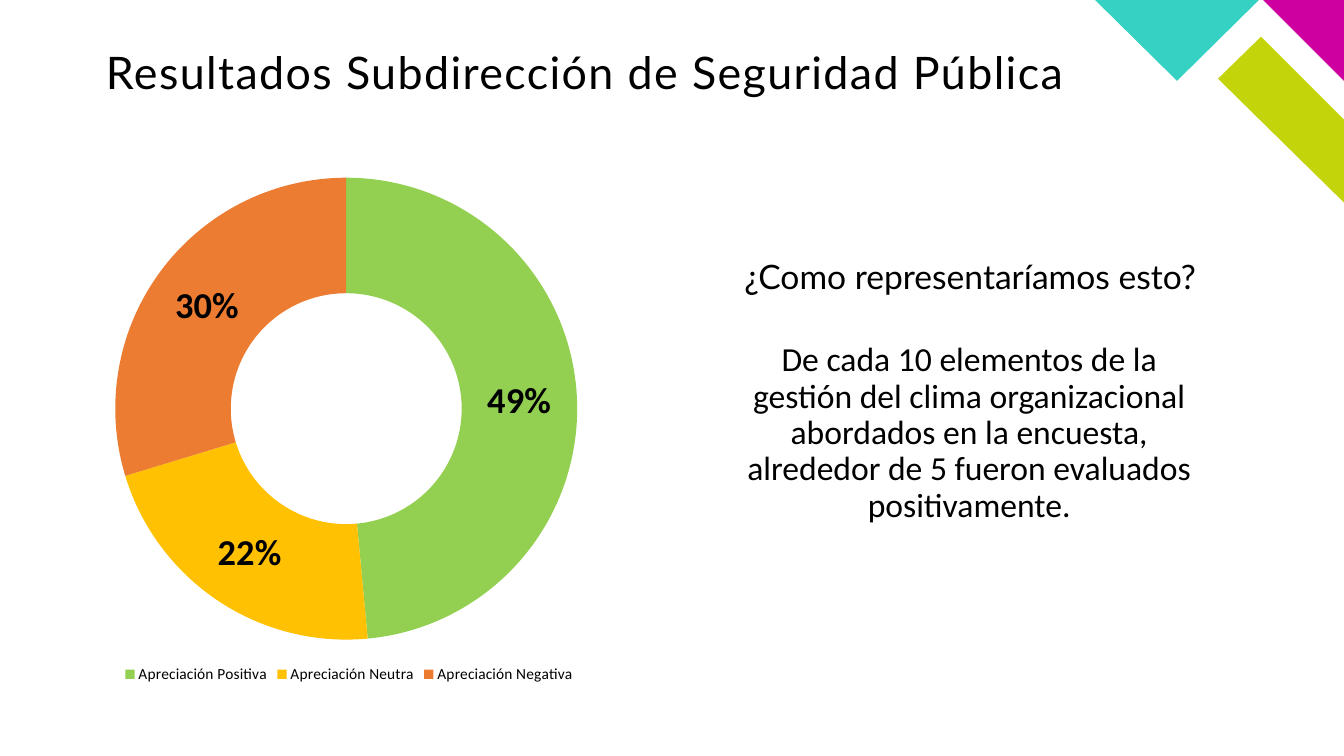
from pptx import Presentation
from pptx.chart.data import CategoryChartData
from pptx.dml.color import RGBColor
from pptx.enum.chart import XL_CHART_TYPE, XL_LEGEND_POSITION
from pptx.enum.text import MSO_ANCHOR, PP_ALIGN
from pptx.util import Pt

PX = 9525  # EMU per px, 96 px to the inch
COLORS = {
    "text": "000000", "lime": "C4D40A", "magenta": "CE009F", "teal": "35D2C4",
    "positive": "93D051", "neutral": "FFC101", "negative": "EC7C31",
}


def rgb(name):
    return RGBColor.from_string(COLORS[name])


def add_text(text, box, font, size, align, anchor, margins):
    """Add a one-paragraph text box; margins are (horizontal, vertical) px."""
    tb = s.shapes.add_textbox(*[v * PX for v in box])
    tf = tb.text_frame
    tf.word_wrap = True
    tf.vertical_anchor = anchor
    tf.margin_left = tf.margin_right = margins[0] * PX
    tf.margin_top = tf.margin_bottom = margins[1] * PX
    p = tf.paragraphs[0]
    p.text = text
    p.alignment = align
    p.line_spacing = 0.9
    p.font.name = font
    p.font.size = Pt(size)
    p.font.color.rgb = rgb("text")
    return p


prs = Presentation()
prs.slide_width, prs.slide_height = 1280 * PX, 720 * PX
s = prs.slides.add_slide(prs.slide_layouts[6])

# Corner decoration
corner = [
    ("lime", [(1280, 193), (1280, 114), (1201, 35), (1160, 75)]),
    ("magenta", [(1280, 77), (1280, 0), (1203, 0)]),
    ("teal", [(1043, 0), (1121, 77), (1199, 0)]),
]
for color, points in corner:
    fb = s.shapes.build_freeform(*points[0], scale=PX)
    fb.add_line_segments(points[1:], close=True)
    sp = fb.convert_to_shape()
    sp.shadow.inherit = False
    sp.fill.solid()
    sp.fill.fore_color.rgb = rgb(color)
    sp.line.fill.background()

# Title and message
title = add_text("Resultados Subdirección de Seguridad Pública", (101, 48, 960, 64),
                 "Lato", 32, PP_ALIGN.LEFT, MSO_ANCHOR.TOP, (0, 0))
title.runs[0].font._element.set("spc", "100")
add_text("¿Como representaríamos esto?", (684, 223, 480, 84),
         "Lato", 24, PP_ALIGN.CENTER, MSO_ANCHOR.MIDDLE, (10, 5))
add_text("De cada 10 elementos de la gestión del clima organizacional abordados "
         "en la encuesta, alrededor de\u00a05\u00a0fueron evaluados positivamente.",
         (689, 295, 468, 236), "Calibri", 24, PP_ALIGN.CENTER, MSO_ANCHOR.MIDDLE, (10, 5))

# Doughnut of survey results
results = [
    ("Apreciación Positiva", 0.49, "positive"),
    ("Apreciación Neutra", 0.22, "neutral"),
    ("Apreciación Negativa", 0.30, "negative"),
]
data = CategoryChartData(number_format="0%")
data.categories = [name for name, _, _ in results]
data.add_series("Series 1", [value for _, value, _ in results])
chart = s.shapes.add_chart(XL_CHART_TYPE.DOUGHNUT, 83 * PX, 156 * PX,
                           499 * PX, 499 * PX, data).chart
chart.has_title = False
chart.font.name = "Calibri"
chart.font.size = Pt(18)
chart.has_legend = True
legend = chart.legend
legend.position = XL_LEGEND_POSITION.BOTTOM
legend.include_in_layout = False
legend.font.name = "Calibri"
legend.font.size = Pt(11)
legend.font.color.rgb = rgb("text")

plot = chart.plots[0]
plot.vary_by_categories = True
series = plot.series[0]
for i, (_, _, color) in enumerate(results):
    fmt = series.points[i].format
    fmt.fill.solid()
    fmt.fill.fore_color.rgb = rgb(color)
    fmt.line.fill.background()

labels = series.data_labels
labels.show_value = True
labels.show_percentage = False
labels.number_format = "0%"
labels.number_format_is_linked = False
labels.font.name = "Calibri"
labels.font.size = Pt(26)
labels.font.bold = True
labels.font.color.rgb = rgb("text")

prs.save("out.pptx")
